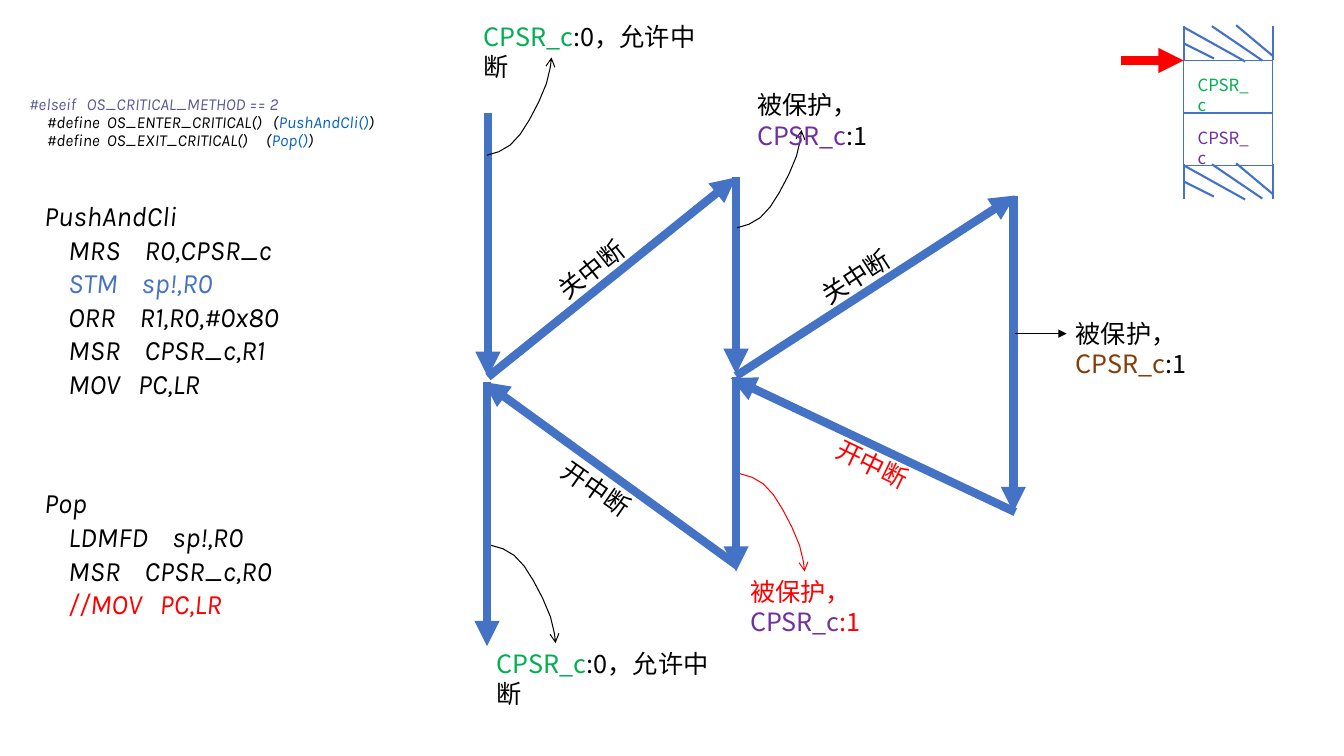
from lxml import etree
from pptx import Presentation
from pptx.dml.color import RGBColor
from pptx.enum.shapes import MSO_CONNECTOR, MSO_SHAPE
from pptx.enum.text import MSO_AUTO_SIZE, PP_ALIGN
from pptx.oxml.ns import qn
from pptx.util import Emu, Pt

STRAIGHT = MSO_CONNECTOR.STRAIGHT
RECTANGLE = MSO_SHAPE.RECTANGLE
GROW = MSO_AUTO_SIZE.SHAPE_TO_FIT_TEXT
JUSTIFY = PP_ALIGN.JUSTIFY
PX = 9144

COLORS = {
    "black": "000000", "blue": "4472C4", "red": "FF0000", "green": "00B050",
    "purple": "7030A0", "brown": "843C0B", "slate": "575999", "link": "0563C1",
}
FORMATS = {
    "code": {"name": "Karla", "size": Pt(20), "italic": True},
    "define": {"name": "Karla", "size": Pt(12), "italic": True},
    "label": {"name": "Noto Sans CJK SC", "size": Pt(18)},
    "cell": {"name": "Noto Sans CJK SC", "size": Pt(12)},
}
PARAGRAPH_FORMATS = {
    "define": {"alignment": JUSTIFY, "line_spacing": 0.9},
}

PUSH_CODE = [
    [("PushAndCli", "black")],
    [("    MRS    R0,CPSR_c", "black")],
    [("    STM    sp!,R0", "blue")],
    [("    ORR    R1,R0,#0x80", "black")],
    [("    MSR    CPSR_c,R1", "black")],
    [("    MOV   PC,LR", "black")],
]
POP_CODE = [
    [("Pop", "black")],
    [("    LDMFD    sp!,R0", "black")],
    [("    MSR    CPSR_c,R0", "black")],
    [("    //MOV   PC,LR", "red")],
]
DEFINES = [
    [("#elseif   OS_CRITICAL_METHOD == 2", "slate")],
    [("     #define  OS_ENTER_CRITICAL()   (", "black"), ("PushAndCli()", "link"), (")", "black")],
    [("     #define  OS_EXIT_CRITICAL()     (", "black"), ("Pop()", "link"), (")", "black")],
]
FLOW = [
    (484, 112, 484, 374), (484, 374, 730, 176), (730, 176, 730, 371),
    (730, 373, 1007, 194), (1005, 194, 1005, 508), (1007, 508, 725, 375),
    (730, 374, 730, 567), (731, 561, 480, 379), (483, 379, 483, 641),
]
SWITCHES = [
    (539, 247, 321.4, "关中断", "black"), (801, 254, 327, "关中断", "black"),
    (818, 441, 25.8, "开中断", "red"), (544, 465, 34.8, "开中断", "black"),
]
PROTECTED = [
    (741, 84, "black", "purple"), (1057, 311, "black", "brown"), (734, 567, "red", "purple"),
]
POINTERS = [
    (483, 154, -1, "black"), (731, 226, -1, "black"),
    (734, 470, 1, "red"), (487, 541, 1, "black"),
]
POINTER_CURVE = [
    ((0, 0), (8, 2), (16, 4), (23, 10)),
    ((23, 10), (30, 16), (36, 24), (42, 35)),
    ((42, 35), (48, 45), (55, 60), (59, 71)),
    ((59, 71), (63, 81), (64, 97), (64, 97)),
]
HATCH = [
    (1174, 60, 1174, 26), (1263, 60, 1263, 26), (1174, 43, 1204, 58),
    (1174, 27, 1235, 61), (1202, 26, 1252, 60), (1226, 25, 1263, 56),
]
CURVE_STEPS = 2


def px(*lengths):
    return [Emu(length * PX) for length in lengths]


def rgb(color):
    return RGBColor.from_string(COLORS[color])


def style_line(shape, color, width, head=None):
    shape.line.color.rgb = rgb(color)
    shape.line.width = Pt(width)
    if head:
        line = shape.line._get_or_add_ln()
        etree.SubElement(line, qn("a:tailEnd"), type=head)


def add_line(slide, ends, color, width, head=None):
    connector = slide.shapes.add_connector(STRAIGHT, *px(*ends))
    style_line(connector, color, width, head)
    etree.SubElement(connector._element.spPr, qn("a:effectLst"))


def set_attributes(target, values):
    for attribute, value in values.items():
        setattr(target, attribute, value)


def add_text(slide, box, paragraphs, style, rotation=0):
    shape = slide.shapes.add_textbox(*px(*box))
    shape.rotation = rotation
    frame = shape.text_frame
    frame.word_wrap = True
    frame.auto_size = GROW
    for index, runs in enumerate(paragraphs):
        paragraph = frame.add_paragraph() if index else frame.paragraphs[0]
        set_attributes(paragraph, PARAGRAPH_FORMATS.get(style, {}))
        for text, color in runs:
            run = paragraph.add_run()
            run.text = text
            run.font.color.rgb = rgb(color)
            set_attributes(run.font, FORMATS[style])
            etree.SubElement(run._r.get_or_add_rPr(), qn("a:ea"), typeface=run.font.name)


def curve_point(controls, t):
    weights = ((1 - t) ** 3, 3 * t * (1 - t) ** 2, 3 * t ** 2 * (1 - t), t ** 3)
    return [sum(w * point[axis] for w, point in zip(weights, controls)) for axis in (0, 1)]


def add_pointer(slide, left, top, direction, color):
    points = []
    for controls in POINTER_CURVE:
        for step in range(1, CURVE_STEPS + 1):
            x, y = curve_point(controls, step / CURVE_STEPS)
            points.append(((left + x) * PX, (top + direction * y) * PX))
    builder = slide.shapes.build_freeform(left * PX, top * PX)
    builder.add_line_segments(points, close=False)
    shape = builder.convert_to_shape()
    shape.shadow.inherit = False
    shape.fill.background()
    style_line(shape, color, 0.75, "arrow")


def add_stack(slide):
    for top in (112, 60):
        cell = slide.shapes.add_shape(RECTANGLE, *px(1174, top, 88, 52))
        cell.shadow.inherit = False
        cell.fill.background()
        style_line(cell, "blue", 1)
    for offset in (0, 137):
        for x1, y1, x2, y2 in HATCH:
            add_line(slide, (x1, y1 + offset, x2, y2 + offset), "blue", 1.5)
    for top, color in ((122, "purple"), (69, "green")):
        add_text(slide, (1178, top, 73, 30), [[("CPSR_c", color)]], "cell")
    add_line(slide, (1112, 60, 1174, 60), "red", 6, "triangle")


def main():
    presentation = Presentation()
    presentation.slide_width, presentation.slide_height = px(1333, 750)
    slide = presentation.slides.add_slide(presentation.slide_layouts[6])

    add_text(slide, (34, 192, 307, 212), PUSH_CODE, "code")
    add_text(slide, (34, 477, 279, 145), POP_CODE, "code")
    add_text(slide, (19, 90, 416, 65), DEFINES, "define")

    for ends in FLOW:
        add_line(slide, ends, "blue", 6, "triangle")
    for pointer in POINTERS:
        add_pointer(slide, *pointer)
    add_line(slide, (1007, 331, 1058, 331), "black", 0.5, "triangle")

    for left, top in ((470, 16), (483, 638)):
        allowed = [("CPSR_c", "green"), (":0，允许中断", "black")]
        add_text(slide, (left, top, 244, 40), [allowed], "label")
    for left, top, color, register_color in PROTECTED:
        protected = [("被保护，", color), ("CPSR_c", register_color), (":1", color)]
        add_text(slide, (left, top, 219, 40), [protected], "label")
    for left, top, rotation, text, color in SWITCHES:
        add_text(slide, (left, top, 96, 40), [[(text, color)]], "label", rotation)

    add_stack(slide)
    presentation.save("out.pptx")


if __name__ == "__main__":
    main()
